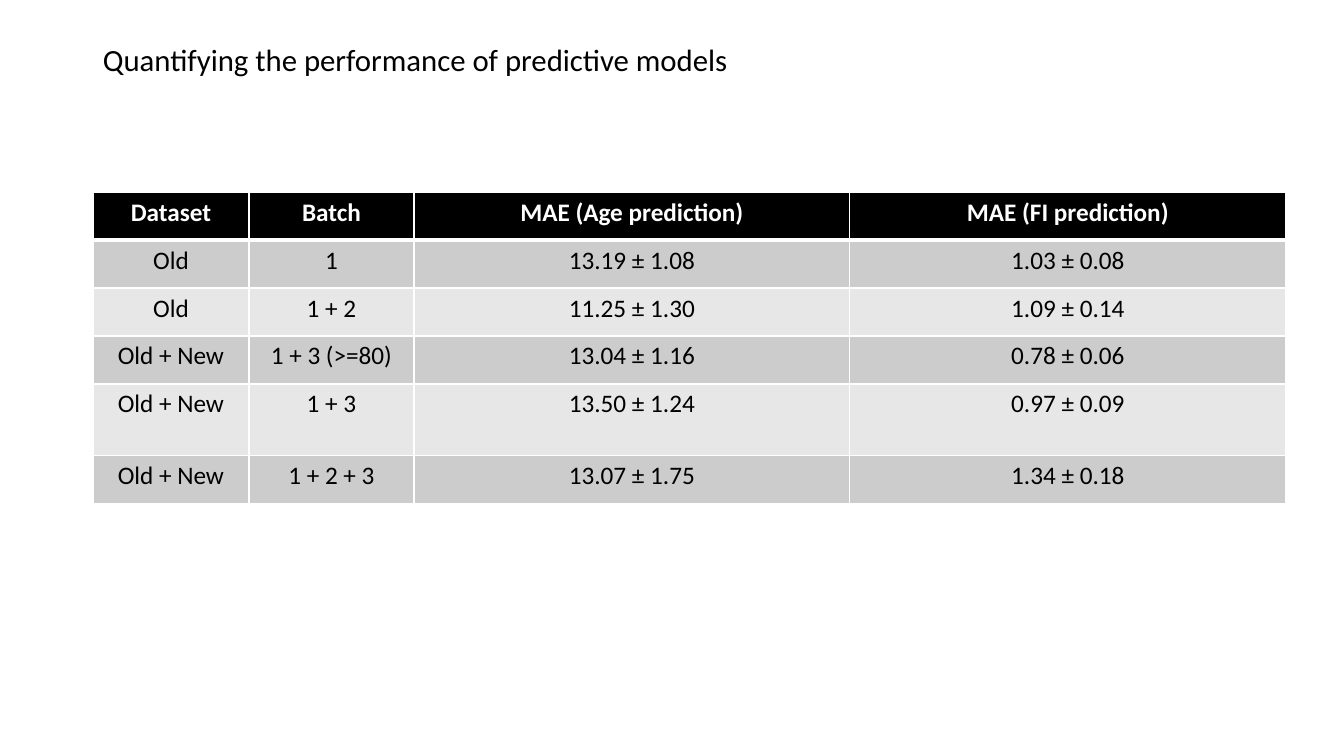
import pptx
import pptx.util
import pptx.dml.color
import pptx.enum.text
import pptx.oxml.ns
import lxml.etree

SCALE = 914400 / 100.8  # EMU per px
HUES = {"ink": "000000", "paper": "FFFFFF", "dark": "CCCCCC", "light": "E7E7E7"}
ALIGN = pptx.enum.text.PP_ALIGN

COLS = [156, 165, 436, 436]
ROWS = [48, 48, 48, 48, 72, 48]
DATA = [
    ["Dataset", "Batch", "MAE (Age prediction)", "MAE (FI prediction)"],
    ["Old", "1", "13.19 ± 1.08", "1.03 ± 0.08"],
    ["Old", "1 + 2", "11.25 ± 1.30", "1.09 ± 0.14"],
    ["Old + New", "1 + 3 (>=80)", "13.04 ± 1.16", "0.78 ± 0.06"],
    ["Old + New", "1 + 3", "13.50 ± 1.24", "0.97 ± 0.09"],
    ["Old + New", "1 + 2 + 3", "13.07 ± 1.75", "1.34 ± 0.18"],
]


def px(num):
    return pptx.util.Emu(round(num * SCALE))


def rgb(hue):
    return pptx.dml.color.RGBColor.from_string(HUES[hue])


def write(frame, text, size=18, hue="ink", bold=False, align=ALIGN.LEFT, line=None):
    para = frame.paragraphs[0]
    para.alignment = align
    para.line_spacing = line
    run = para.add_run()
    run.text = text
    run.font.name = "Calibri"
    run.font.size = pptx.util.Pt(size)
    run.font.bold = bold
    run.font.color.rgb = rgb(hue)


def edge(cell, side, width):
    qn = pptx.oxml.ns.qn
    props = cell._tc.get_or_add_tcPr()
    line = lxml.etree.SubElement(props, qn("a:ln" + side), w=str(pptx.util.Pt(width)))
    fill = lxml.etree.SubElement(line, qn("a:solidFill"))
    lxml.etree.SubElement(fill, qn("a:srgbClr"), val=HUES["paper"])


def title(slide, text, left, top, width, height):
    frame = slide.shapes.add_textbox(px(left), px(top), px(width), px(height)).text_frame
    frame.word_wrap = True
    frame.vertical_anchor = pptx.enum.text.MSO_ANCHOR.MIDDLE
    write(frame, text, size=22, line=0.9)


def table(slide, data, left, top):
    grid = slide.shapes.add_table(len(ROWS), len(COLS), px(left), px(top),
                                  px(sum(COLS)), px(sum(ROWS))).table
    for col, width in zip(grid.columns, COLS):
        col.width = px(width)
    for row, height in zip(grid.rows, ROWS):
        row.height = px(height)
    for r, texts in enumerate(data):
        head = r == 0
        back = "ink" if head else ("dark" if r % 2 else "light")
        for c, text in enumerate(texts):
            cell = grid.cell(r, c)
            # Borders come before the fill; a thick rule lies under the header
            for side in "LRTB":
                thick = (r, side) in ((0, "B"), (1, "T"))
                edge(cell, side, 3 if thick else 1)
            cell.fill.solid()
            cell.fill.fore_color.rgb = rgb(back)
            write(cell.text_frame, text, hue="paper" if head else "ink",
                  bold=head, align=ALIGN.CENTER)


def main():
    deck = pptx.Presentation()
    deck.slide_width, deck.slide_height = px(1344), px(756)
    slide = deck.slides.add_slide(deck.slide_layouts[6])

    # Heading
    title(slide, "Quantifying the performance of predictive models", 93, 32, 1159, 60)
    # Results by dataset and batch
    table(slide, DATA, 93, 192)

    deck.save("out.pptx")


if __name__ == "__main__":
    main()
